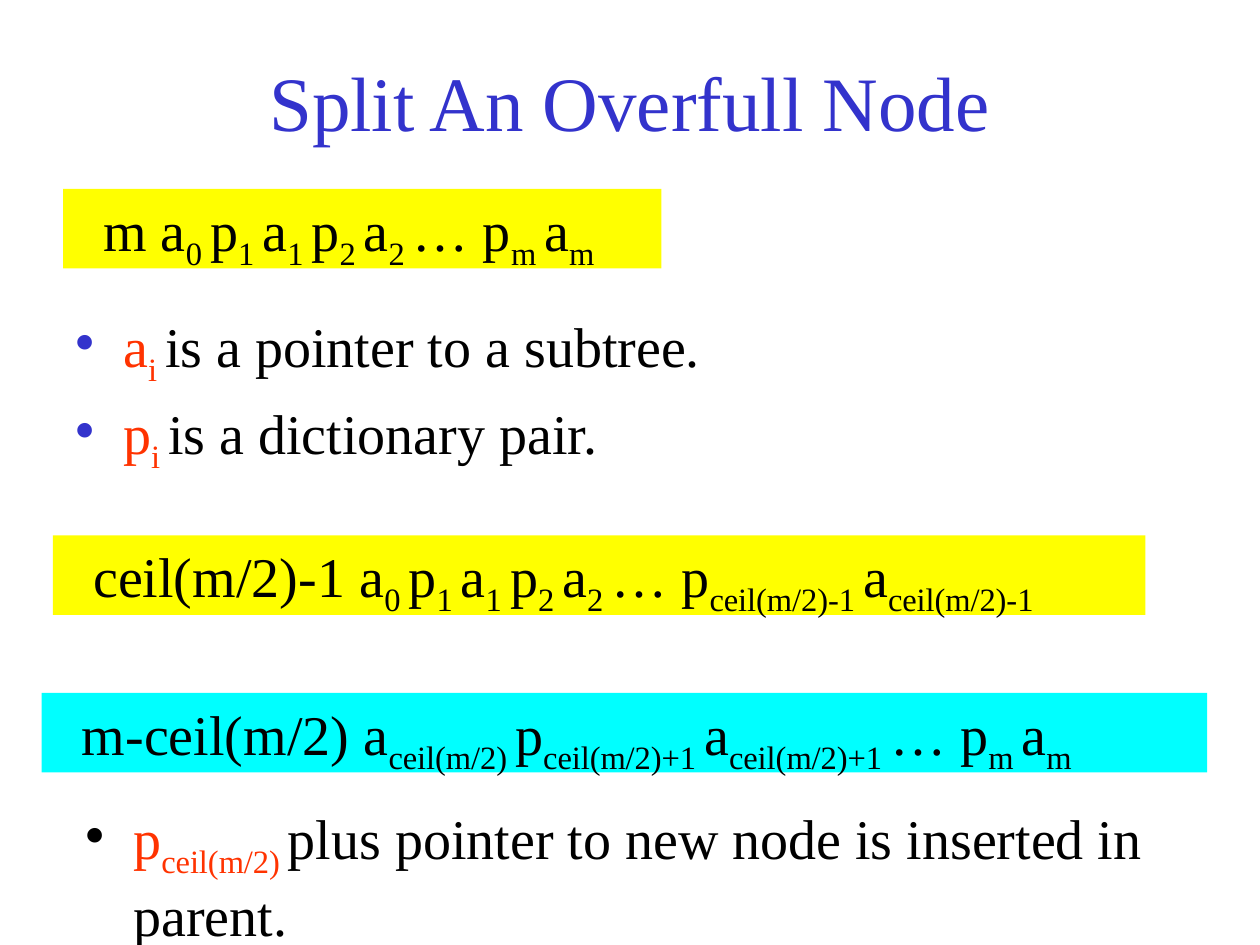
from pptx import Presentation
from pptx.dml.color import RGBColor as RGB
from pptx.enum.shapes import MSO_SHAPE as Shape
from pptx.enum.text import MSO_ANCHOR as Anchor, PP_ALIGN as Align
from pptx.oxml import parse_xml
from pptx.oxml.ns import nsdecls
from pptx.util import Inches, Pt

THEME = dict(
    font="Times New Roman", title_size=Pt(44), body_size=Pt(32),
    blue=RGB(0x33, 0x33, 0xCC), red=RGB(0xFF, 0x33, 0x00), black=RGB(0, 0, 0),
    yellow=RGB(0xFF, 0xFF, 0), cyan=RGB(0, 0xFF, 0xFF),
)

deck = Presentation()
deck.slide_width, deck.slide_height = Inches(10), Inches(7.5)
slide = deck.slides.add_slide(deck.slide_layouts[6])


def write(paragraph, text, lead="black"):
    """Fill a paragraph; every second part between bars is a subscript.
    The first symbol and its subscript take the lead colour."""
    paragraph.font.name = THEME["font"]
    paragraph.font.size = THEME["body_size"]
    for i, part in enumerate(text.split("|")):
        run = paragraph.add_run()
        run.text = part
        run.font.color.rgb = THEME[lead if i < 2 else "black"]
        if i % 2:
            run.font._element.set("baseline", "-25000")


def add_bullets(left, top, width, height, bullet, lines):
    frame = slide.shapes.add_textbox(*map(Inches, (left, top, width, height))).text_frame
    frame.word_wrap = True
    for i, line in enumerate(lines):
        item = frame.add_paragraph() if i else frame.paragraphs[0]
        if i:
            item.space_before = Pt(6.4)
        props = item._p.get_or_add_pPr()
        props.set("marL", str(Inches(0.38)))
        props.set("indent", str(-Inches(0.38)))
        props.append(parse_xml(f'<a:buClr {nsdecls("a")}><a:srgbClr val="{THEME[bullet]}"/></a:buClr>'))
        props.append(parse_xml(f'<a:buChar {nsdecls("a")} char="•"/>'))
        write(item, line, lead="red")


# Title
heading = slide.shapes.add_textbox(Inches(0.75), Inches(0.17), Inches(8.5), Inches(1.25)).text_frame
heading.word_wrap = True
heading.vertical_anchor = Anchor.MIDDLE
title = heading.paragraphs[0]
title.text = "Split An Overfull Node"
title.alignment = Align.CENTER
title.font.name, title.font.size = THEME["font"], THEME["title_size"]
title.font.color.rgb = THEME["blue"]

# Meaning of the symbols
add_bullets(0.5, 2.42, 8.5, 1.33, "blue",
            ["a|i |is a pointer to a subtree.", "p|i |is a dictionary pair."])

# Overfull node, then the two nodes it splits into
start = "a|0 |p|1 |a|1 |p|2 |a|2 |… p|"
nodes = [
    (0.5, 1.5, 4.75, "yellow", f"m {start}m |a|m"),
    (0.42, 4.25, 8.67, "yellow", f"ceil(m/2)-1 {start}ceil(m/2)-1 |a|ceil(m/2)-1"),
    (0.33, 5.5, 9.25, "cyan",
     "m-ceil(m/2) a|ceil(m/2) |p|ceil(m/2)+1 |a|ceil(m/2)+1 |… p|m |a|m"),
]
for left, top, width, fill, contents in nodes:
    node = slide.shapes.add_shape(Shape.RECTANGLE, Inches(left), Inches(top), Inches(width), Inches(0.63))
    node.shadow.inherit = False
    node.fill.solid()
    node.fill.fore_color.rgb = THEME[fill]
    node.line.fill.background()
    frame = node.text_frame
    frame.word_wrap = True
    frame.vertical_anchor = Anchor.TOP
    frame.margin_left = Inches(0.32)
    frame.paragraphs[0].alignment = Align.LEFT
    write(frame.paragraphs[0], contents)

# Effect on the parent
add_bullets(0.58, 6.33, 9.08, 0.83, "black",
            ["p|ceil(m/2) |plus pointer to new node is inserted in parent."])

deck.save("out.pptx")
